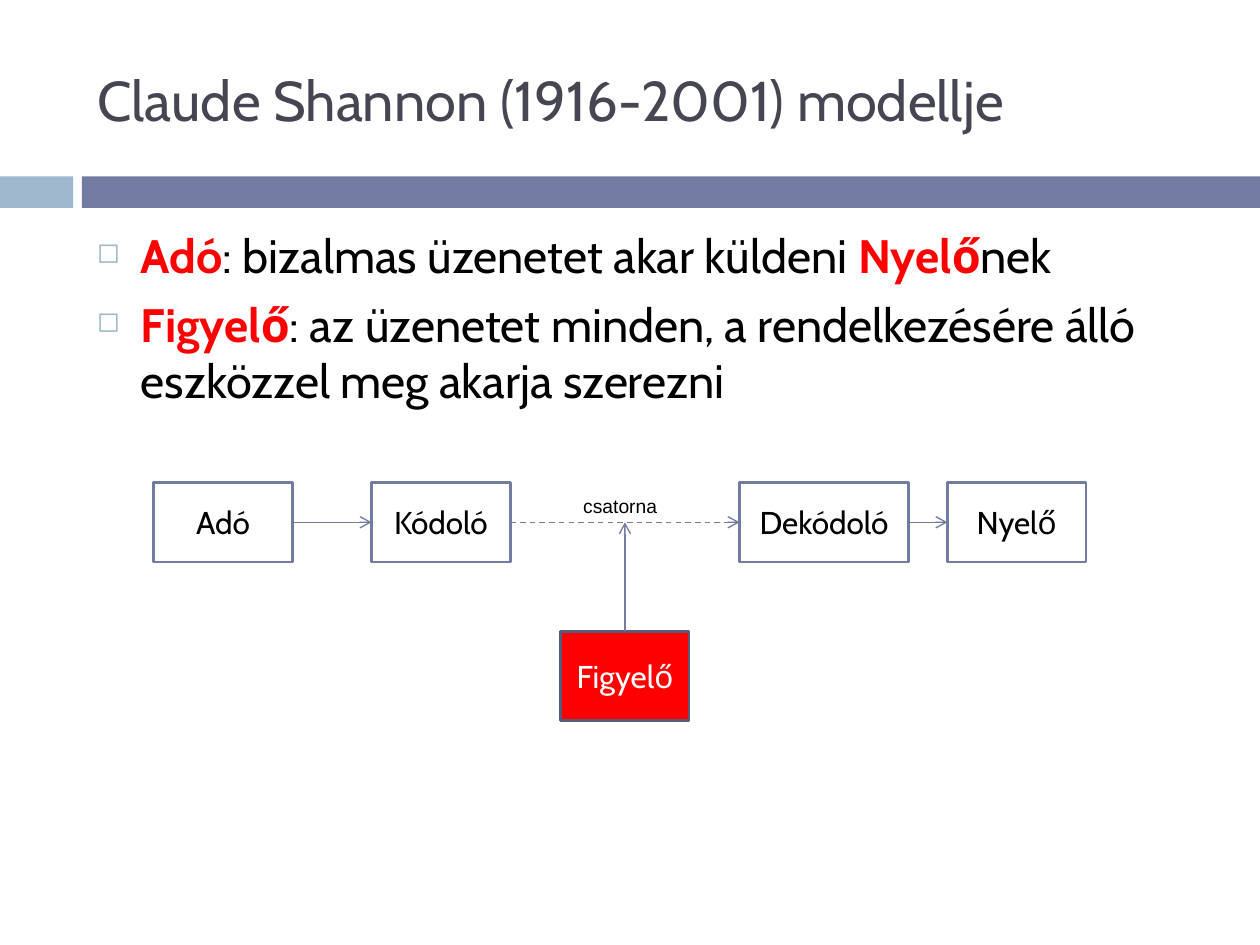
import pptx
import pptx.dml.color
import pptx.enum.dml
import pptx.enum.shapes
import pptx.enum.text
import pptx.oxml.ns
import pptx.util
from lxml import etree

Inches = pptx.util.Inches
Pt = pptx.util.Pt
ALIGN = pptx.enum.text.PP_ALIGN
ANCHOR = pptx.enum.text.MSO_ANCHOR

COLORS = {
    "white": "FFFFFF", "black": "000000", "red": "FF0000", "title": "464653",
    "sky": "9FB8CD", "slate": "727CA3", "dark": "545C79",
}
BOX_TOP, BOX_TALL = 3.83, 0.63
MID = BOX_TOP + BOX_TALL / 2
POINTS = [
    [("Adó", True), (": bizalmas üzenetet akar küldeni ", False),
     ("Nyelő", True), ("nek", False)],
    [("Figyelő", True),
     (": az üzenetet minden, a rendelkezésére álló eszközzel meg akarja szerezni", False)],
]
# text, left, width
CHAIN = [("Adó", 1.22, 1.1), ("Kódoló", 2.95, 1.1),
         ("Dekódoló", 5.87, 1.34), ("Nyelő", 7.52, 1.1)]


def color(name):
    """Give the RGB color of a named entry."""
    return pptx.dml.color.RGBColor.from_string(COLORS[name])


def add_tag(parent, tag, **values):
    """Append a DrawingML element with attributes."""
    node = etree.SubElement(parent, pptx.oxml.ns.qn(tag))
    for key, value in values.items():
        node.set(key, value)
    return node


def add_run(para, text, size, tint, font="Cabin", bold=False):
    """Add one formatted run to a paragraph."""
    run = para.add_run()
    run.text = text
    run.font.name = font
    run.font.size = Pt(size)
    run.font.bold = bold
    run.font.color.rgb = color(tint)


def add_rect(slide, left, top, width, height, fill, line=None):
    """Add a flat rectangle, with an outline if one is named."""
    rect = slide.shapes.add_shape(
        pptx.enum.shapes.MSO_SHAPE.RECTANGLE,
        Inches(left), Inches(top), Inches(width), Inches(height))
    rect.shadow.inherit = False
    rect.fill.solid()
    rect.fill.fore_color.rgb = color(fill)
    if line:
        rect.line.color.rgb = color(line)
        rect.line.width = Pt(1.5)
    else:
        rect.line.fill.background()
    return rect


def add_box(slide, text, left, top, width, height, fill="white", line="slate", tint="black"):
    """Add a box of the diagram with centered text."""
    frame = add_rect(slide, left, top, width, height, fill, line).text_frame
    frame.margin_left = frame.margin_right = Inches(0.05)
    frame.vertical_anchor = ANCHOR.MIDDLE
    para = frame.paragraphs[0]
    para.alignment = ALIGN.CENTER
    add_run(para, text, 18, tint)


def add_arrow(slide, start, end, dashed=False):
    """Add a thin arrow between two points."""
    link = slide.shapes.add_connector(
        pptx.enum.shapes.MSO_CONNECTOR.STRAIGHT,
        *(Inches(value) for value in start + end))
    link.line.color.rgb = color("slate")
    link.line.width = Pt(0.79)
    if dashed:
        link.line.dash_style = pptx.enum.dml.MSO_LINE.DASH
    props = link._element.spPr
    add_tag(props.find(pptx.oxml.ns.qn("a:ln")), "a:tailEnd", type="arrow")
    add_tag(props, "a:effectLst")


def add_title(slide, text):
    """Place and fill the title."""
    title = slide.shapes.title
    title.left, title.top = Inches(0.67), Inches(0.25)
    title.width, title.height = Inches(8.92), Inches(1.08)
    frame = title.text_frame
    frame.vertical_anchor = ANCHOR.MIDDLE
    para = frame.paragraphs[0]
    para.alignment = ALIGN.LEFT
    add_run(para, text, 32, "title")


def add_text(slide, left, top, width, height):
    """Add an empty text box that wraps, and return its frame."""
    frame = slide.shapes.add_textbox(
        Inches(left), Inches(top), Inches(width), Inches(height)).text_frame
    frame.word_wrap = True
    return frame


def add_list(slide, points):
    """Add the bullet list, with key words in bold red."""
    frame = add_text(slide, 0.67, 1.75, 8.92, 1.92)
    for index, parts in enumerate(points):
        para = frame.add_paragraph() if index else frame.paragraphs[0]
        para.space_before = Pt(7)
        props = para._p.get_or_add_pPr()
        props.set("marL", str(Inches(0.35)))
        props.set("indent", str(-Inches(0.35)))
        add_tag(add_tag(props, "a:buClr"), "a:srgbClr", val=COLORS["sky"])
        add_tag(props, "a:buSzPct", val="60000")
        add_tag(props, "a:buChar", char="◻")
        for text, key in parts:
            add_run(para, text, 26.8, "red" if key else "black", bold=key)


def add_chart(slide):
    """Draw the channel model with the observer below it."""
    for text, left, width in CHAIN:
        add_box(slide, text, left, BOX_TOP, width, BOX_TALL)
    for index, (prior, after) in enumerate(zip(CHAIN, CHAIN[1:])):
        add_arrow(slide, (prior[1] + prior[2], MID), (after[1], MID), dashed=index == 1)
    add_box(slide, "Figyelő", 4.45, 5.01, 1.02, 0.71, "red", "dark", "white")
    add_arrow(slide, (4.96, 5.01), (4.96, MID))
    label = add_text(slide, 4.53, 3.87, 1.02, 0.29)
    add_run(label.paragraphs[0], "csatorna", 11, "black", "Arial")


def main():
    """Build and save the slide."""
    deck = pptx.Presentation()
    deck.slide_width, deck.slide_height = Inches(10), Inches(7.5)
    slide = deck.slides.add_slide(deck.slide_layouts[5])
    add_rect(slide, 0, 1.4, 0.58, 0.25, "sky")
    add_rect(slide, 0.65, 1.4, 9.35, 0.25, "slate")
    add_title(slide, "Claude Shannon (1916-2001) modellje")
    add_list(slide, POINTS)
    add_chart(slide)
    deck.save("out.pptx")


main()
